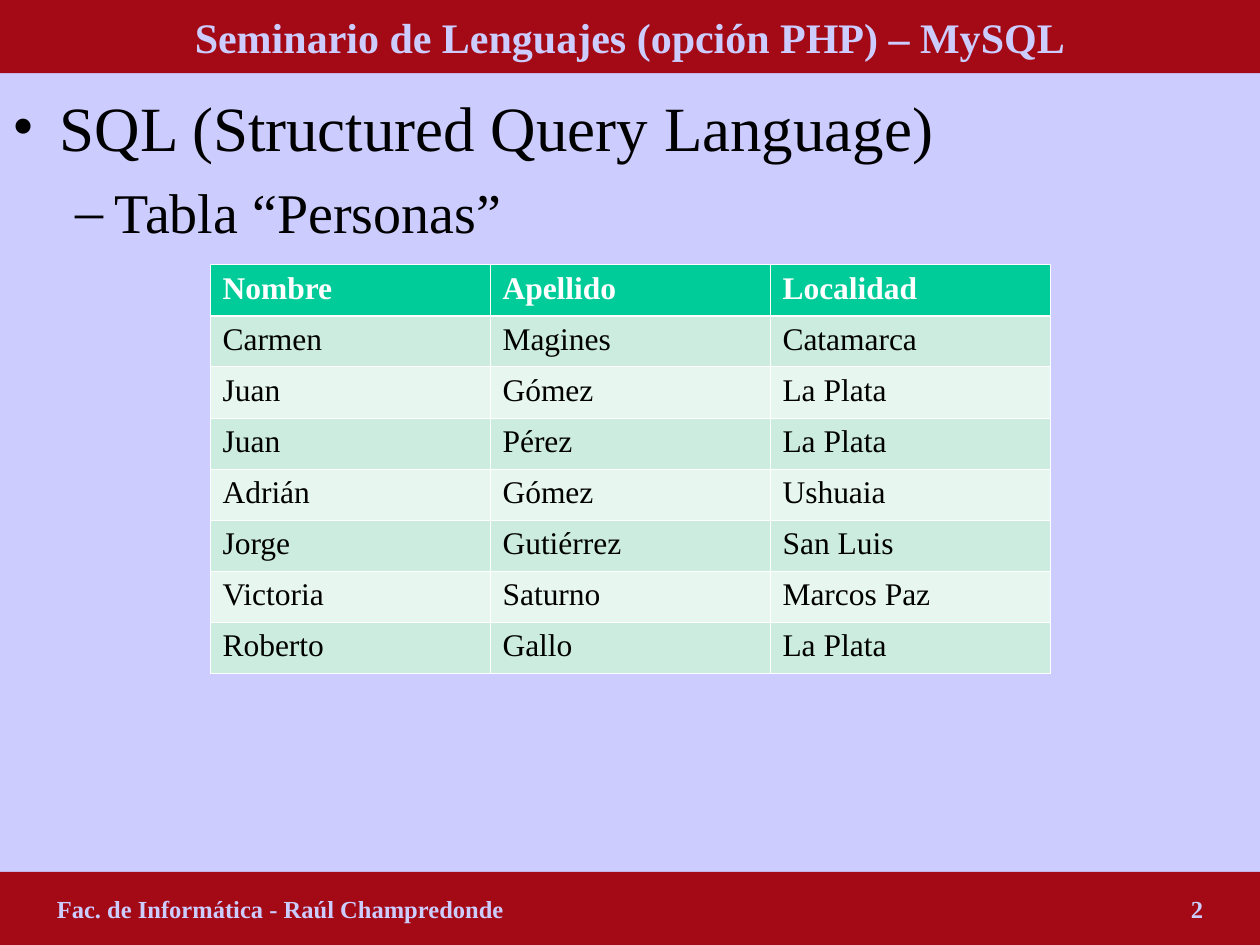
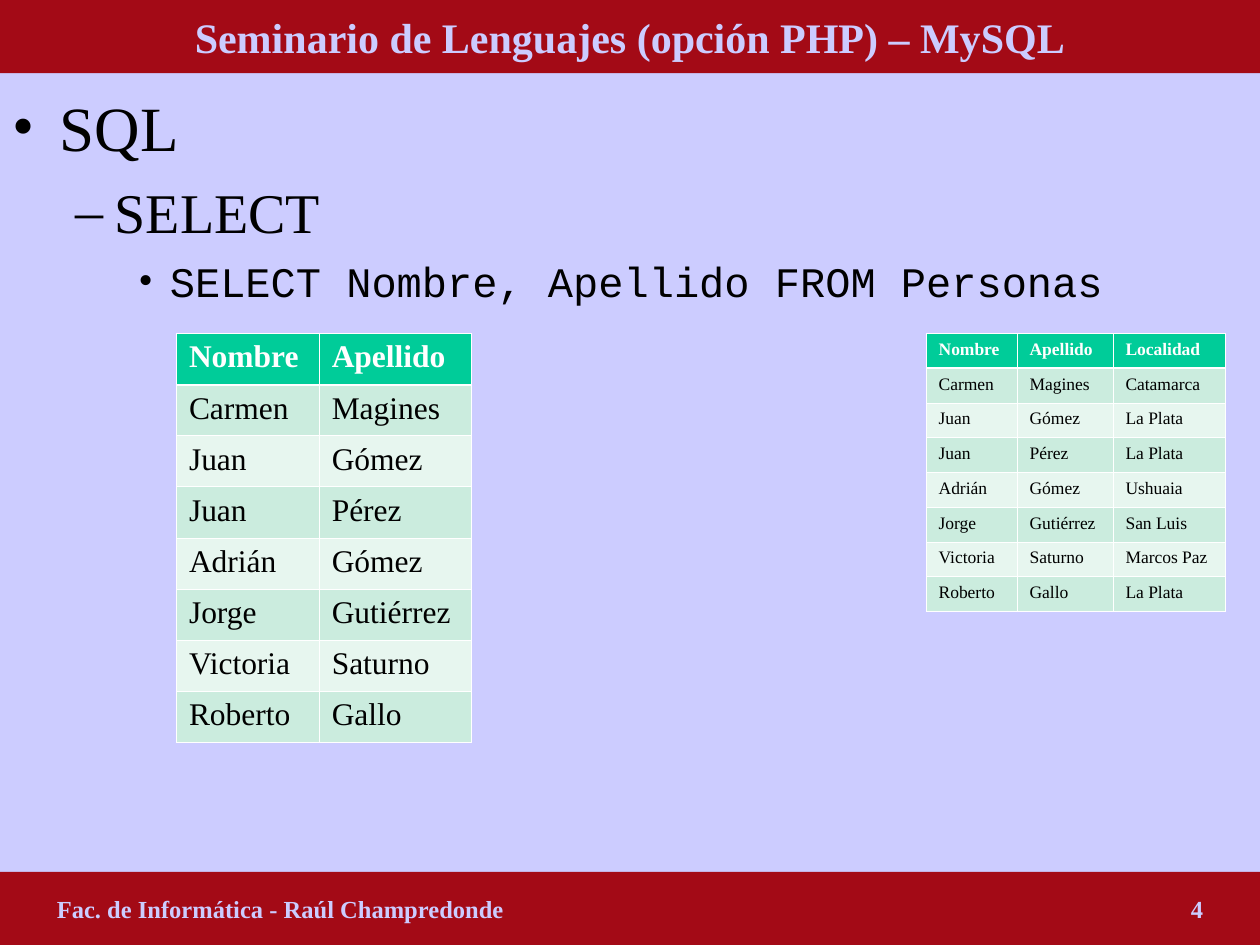
from lxml.etree import SubElement
from pptx import Presentation
from pptx.dml.color import RGBColor
from pptx.enum.shapes import MSO_SHAPE as Shape
from pptx.enum.text import MSO_ANCHOR as Anchor, PP_ALIGN as Align
from pptx.oxml.ns import qn
from pptx.util import Pt

COLORS = {
    "background": "CCCCFF",
    "band": "A30A16",
    "band_text": "CCCCFF",
    "text": "000000",
    "header": "00CC99",
    "header_text": "FFFFFF",
    "odd_row": "CBECDE",
    "even_row": "E7F6EF",
    "border": "FFFFFF",
}
SERIF, MONO = "Times New Roman", "Courier New"
WIDTH, HEIGHT, BAND_HEIGHT = 720, 540, 41.8
COURSE = "Seminario de Lenguajes (opción PHP) – MySQL"
AUTHOR = "Fac. de Informática - Raúl Champredonde"

LEVELS = [
    {"bullet": "•", "left": 27, "hang": 27, "before": 0, "size": 36, "name": SERIF},
    {"bullet": "–", "left": 58.5, "hang": 22.5, "before": 8, "size": 32, "name": SERIF},
    {"bullet": "•", "left": 90, "hang": 18, "before": 6, "size": 24, "name": MONO},
]
PEOPLE = [
    ("Nombre", "Apellido", "Localidad"),
    ("Carmen", "Magines", "Catamarca"),
    ("Juan", "Gómez", "La Plata"),
    ("Juan", "Pérez", "La Plata"),
    ("Adrián", "Gómez", "Ushuaia"),
    ("Jorge", "Gutiérrez", "San Luis"),
    ("Victoria", "Saturno", "Marcos Paz"),
    ("Roberto", "Gallo", "La Plata"),
]


def rgb(color):
    return RGBColor.from_string(COLORS[color])


def paint(target, color):
    target.fill.solid()
    target.fill.fore_color.rgb = rgb(color)


def set_all(target, values):
    for name, value in values.items():
        setattr(target, name, value)


def add_span(para, text, color, size, name=SERIF, bold=False):
    span = para.add_run()
    span.text = text
    set_all(span.font, {"size": Pt(size), "name": name, "bold": bold})
    span.font.color.rgb = rgb(color)


def add_band(page, top, text, size, align, left_margin=7.2):
    band = page.shapes.add_shape(
        Shape.RECTANGLE, 0, Pt(top), Pt(WIDTH), Pt(BAND_HEIGHT))
    band.shadow.inherit = False
    band.line.fill.background()
    paint(band, "band")
    set_all(band.text_frame, {"vertical_anchor": Anchor.MIDDLE, "word_wrap": True,
                              "margin_left": Pt(left_margin)})
    para = band.text_frame.paragraphs[0]
    para.alignment = align
    add_span(para, text, "band_text", size, bold=True)
    return para


def add_right_tab(para, position):
    tabs = SubElement(para._p.get_or_add_pPr(), qn("a:tabLst"))
    SubElement(tabs, qn("a:tab"), pos=str(Pt(position)), algn="r")


def add_bullet(para, style):
    props = para._p.get_or_add_pPr()
    props.set("marL", str(Pt(style["left"])))
    props.set("indent", str(-Pt(style["hang"])))
    color = SubElement(props, qn("a:buClr"))
    SubElement(color, qn("a:srgbClr"), val=COLORS["text"])
    SubElement(props, qn("a:buFont"), typeface=SERIF)
    SubElement(props, qn("a:buChar"), char=style["bullet"])


def add_outline(page, lines):
    box = page.shapes.add_textbox(
        0, Pt(BAND_HEIGHT), Pt(WIDTH), Pt(HEIGHT - 2 * BAND_HEIGHT))
    frame = box.text_frame
    set_all(frame, {"word_wrap": True, "margin_top": Pt(8.5)})
    for level, (text, style) in enumerate(zip(lines, LEVELS)):
        para = frame.add_paragraph() if level else frame.paragraphs[0]
        add_bullet(para, style)
        set_all(para, {"level": level, "space_before": Pt(style["before"])})
        add_span(para, text, "text", style["size"], style["name"])


def add_borders(cell, widths):
    props = cell._tc.get_or_add_tcPr()
    for side, width in widths.items():
        line = SubElement(props, qn(f"a:ln{side}"), w=str(Pt(width)))
        fill = SubElement(line, qn("a:solidFill"))
        SubElement(fill, qn("a:srgbClr"), val=COLORS["border"])


def add_people_table(page, left, top, widths, row_height, size):
    table = page.shapes.add_table(
        len(PEOPLE), len(widths), Pt(left), Pt(top),
        Pt(sum(widths)), Pt(row_height * len(PEOPLE))).table
    for column, width in zip(table.columns, widths):
        column.width = Pt(width)
    for i, person in enumerate(PEOPLE):
        table.rows[i].height = Pt(row_height)
        header = i == 0
        fill = "header" if header else "odd_row" if i % 2 else "even_row"
        color = "header_text" if header else "text"
        borders = {"L": 0.45, "R": 0.45, "T": 1.47 if i == 1 else 0.45,
                   "B": 1.47 if header else 0.45}
        for j in range(len(widths)):
            cell = table.cell(i, j)
            add_borders(cell, borders)
            paint(cell, fill)
            add_span(cell.text_frame.paragraphs[0], person[j], color, size, bold=header)


def add_page(deck, number, lines):
    page = deck.slides.add_slide(deck.slide_layouts[6])
    paint(page.background, "background")
    add_outline(page, lines)
    add_band(page, 0, COURSE, 24, Align.CENTER)
    footer = add_band(page, HEIGHT - BAND_HEIGHT, f"{AUTHOR}\t{number}", 14,
                      Align.LEFT, left_margin=32.5)
    add_right_tab(footer, 655)
    return page


def main():
    deck = Presentation()
    set_all(deck, {"slide_width": Pt(WIDTH), "slide_height": Pt(HEIGHT)})

    page = add_page(deck, 2, ["SQL (Structured Query Language)", "Tabla “Personas”"])
    add_people_table(page, 120, 151.2, [160] * 3, 29.2, 18)

    page = add_page(deck, 4, ["SQL", "SELECT", "SELECT Nombre, Apellido FROM Personas"])
    add_people_table(page, 100.8, 190.6, [81.6, 87], 29.2, 18)
    add_people_table(page, 529.2, 190.6, [52, 54.8, 64.2], 19.85, 10)

    deck.save("out.pptx")


if __name__ == "__main__":
    main()
